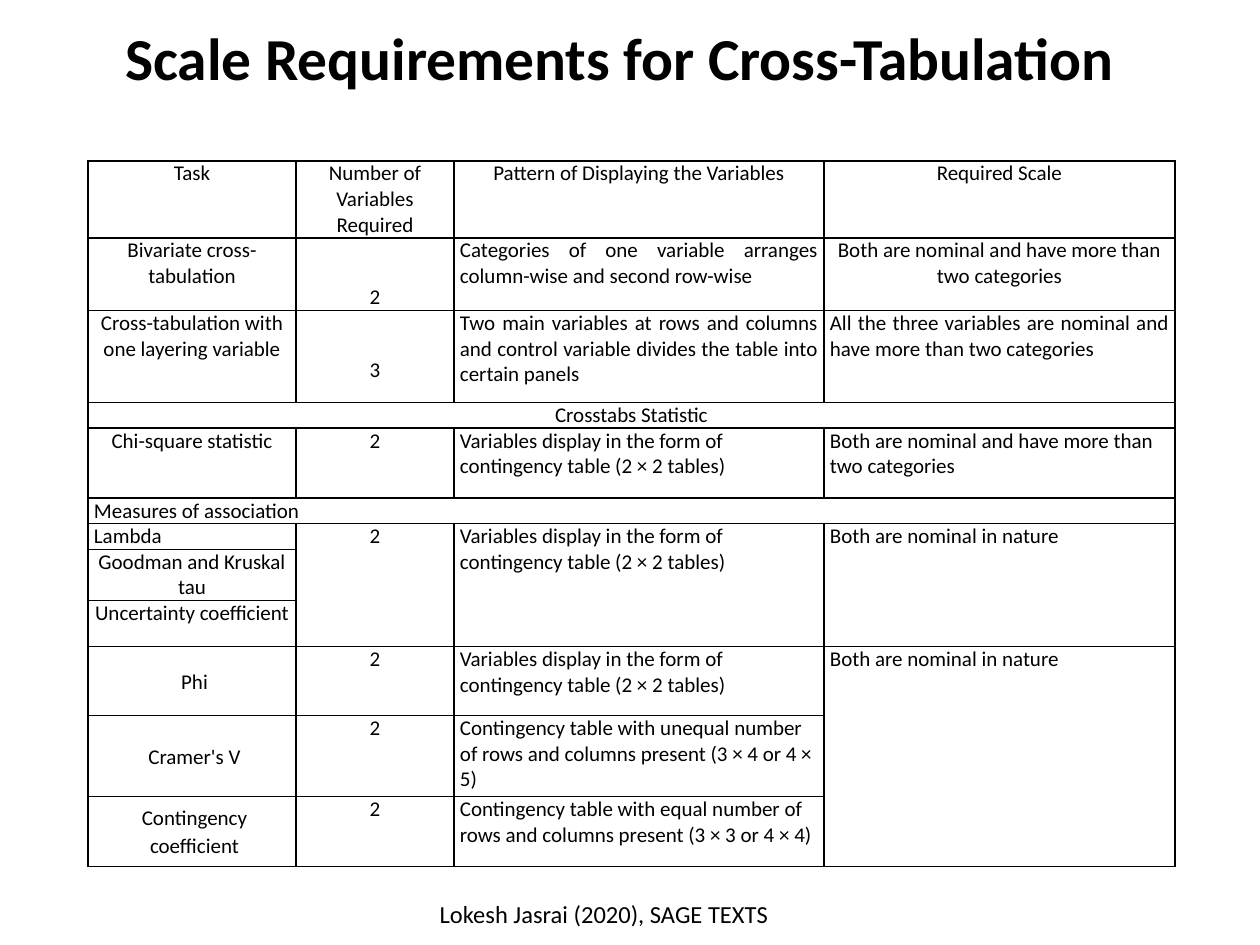
import pptx
import pptx.dml.color
import pptx.enum.text
import pptx.oxml
import pptx.oxml.ns
import pptx.util

ALIGN = pptx.enum.text.PP_ALIGN
ANCHOR = pptx.enum.text.MSO_ANCHOR
BLACK = pptx.dml.color.RGBColor(0, 0, 0)
FONT = "Calibri"
PX_PER_INCH = 126

COLUMN_WIDTHS = [208, 158, 370, 351]
ROW_HEIGHTS = [76, 71, 92, 25, 70, 25, 25, 51, 46, 69, 81, 70]
MERGES = [(3, 0, 3, 3), (5, 0, 5, 3), (6, 1, 8, 1),
          (6, 2, 8, 2), (6, 3, 8, 3), (9, 3, 11, 3)]

CONTINGENCY = "Variables display in the form of contingency table (2 × 2 tables)"
NOMINAL = "Both are nominal in nature"
ROWS = [
    ["Task", "Number of Variables Required",
     "Pattern of Displaying the Variables", "Required Scale"],
    ["Bivariate cross-tabulation", "2",
     "Categories of one variable arranges column-wise and second row-wise",
     "Both are nominal and have more than two categories"],
    ["Cross-tabulation with one layering variable", "3",
     "Two main variables at rows and columns and control variable divides "
     "the table into certain panels",
     "All the three variables are nominal and have more than two categories"],
    ["Crosstabs Statistic"],
    ["Chi-square statistic", "2", CONTINGENCY,
     "Both are nominal and have more than two categories"],
    ["Measures of association"],
    ["Lambda", "2", CONTINGENCY, NOMINAL],
    ["Goodman and Kruskal tau"],
    ["Uncertainty coefficient"],
    ["Phi", "2", CONTINGENCY, NOMINAL],
    ["Cramer's V", "2",
     "Contingency table with unequal number of rows and columns present "
     "(3 × 4 or 4 × 5)"],
    ["Contingency coefficient", "2",
     "Contingency table with equal number of rows and columns present "
     "(3 × 3 or 4 × 4)"],
]
LEFT_LABELS = {(5, 0), (6, 0)}
CENTRED_SCALES = {(0, 2), (0, 3), (1, 3)}
JUSTIFIED = {(1, 2), (2, 2), (2, 3)}
LOWERED_NUMBERS = {(1, 1), (2, 1)}
FIRST_COEFFICIENT_ROW = 9


def px(length):
    return pptx.util.Emu(round(length * 914400 / PX_PER_INCH))


def place(shape, left, top, width, height):
    shape.left, shape.top = px(left), px(top)
    shape.width, shape.height = px(width), px(height)


def style(para, size, align, bold=False):
    para.alignment = align
    para.font.name = FONT
    para.font.size = pptx.util.Pt(size)
    para.font.bold = bold
    para.font.color.rgb = BLACK


def write_line(shape, text, size, bold=False):
    frame = shape.text_frame
    frame.word_wrap = True
    frame.auto_size = pptx.enum.text.MSO_AUTO_SIZE.NONE
    frame.vertical_anchor = ANCHOR.TOP
    frame.text = text
    style(frame.paragraphs[0], size, ALIGN.CENTER, bold)
    return frame.paragraphs[0]


def add_title(page):
    title = page.shapes.title
    place(title, 69, 23, 1101, 92)
    para = write_line(title, "Scale Requirements for Cross-Tabulation", 34, True)
    para.line_spacing = 0.9


def add_source_line(page):
    box = page.shapes.add_textbox(px(379), px(893), px(450), px(50))
    write_line(box, "Lokesh Jasrai (2020), SAGE TEXTS", 14)


def add_borders(cell):
    properties = cell._tc.get_or_add_tcPr()
    for index, side in enumerate(("lnL", "lnR", "lnT", "lnB")):
        line = pptx.oxml.parse_xml(
            f'<a:{side} {pptx.oxml.ns.nsdecls("a")} w="12700">'
            f'<a:solidFill><a:srgbClr val="{BLACK}"/></a:solidFill></a:{side}>')
        properties.insert(index, line)


def cell_alignment(position):
    if position in JUSTIFIED:
        return ALIGN.JUSTIFY
    if position in LEFT_LABELS:
        return ALIGN.LEFT
    if position[1] < 2 or position in CENTRED_SCALES:
        return ALIGN.CENTER
    return ALIGN.LEFT


def fill_cell(cell, position, text):
    row, column = position
    cell.text = text
    cell.fill.background()
    cell.margin_left = cell.margin_right = px(6)
    cell.margin_top = px(47 if position in LOWERED_NUMBERS else 0)
    cell.margin_bottom = 0
    cell.vertical_anchor = ANCHOR.TOP
    para = cell.text_frame.paragraphs[0]
    style(para, 12, cell_alignment(position))
    if column == 0 and row >= FIRST_COEFFICIENT_ROW:
        cell.vertical_anchor = ANCHOR.MIDDLE
        cell.margin_left = px(11)
        para.line_spacing = pptx.util.Pt(16)
    add_borders(cell)


def add_scale_table(page):
    frame = page.shapes.add_table(
        len(ROWS), len(COLUMN_WIDTHS), px(88), px(161),
        px(sum(COLUMN_WIDTHS)), px(sum(ROW_HEIGHTS)))
    table = frame.table
    table.first_row = table.horz_banding = False
    for column, width in zip(table.columns, COLUMN_WIDTHS):
        column.width = px(width)
    for row, height in zip(table.rows, ROW_HEIGHTS):
        row.height = px(height)
    for row, texts in enumerate(ROWS):
        for column in range(len(COLUMN_WIDTHS)):
            text = texts[column] if column < len(texts) else ""
            fill_cell(table.cell(row, column), (row, column), text)
    for top, left, bottom, right in MERGES:
        table.cell(top, left).merge(table.cell(bottom, right))


def main():
    deck = pptx.Presentation()
    deck.slide_width, deck.slide_height = px(1260), px(945)
    page = deck.slides.add_slide(deck.slide_layouts[5])
    add_title(page)
    add_scale_table(page)
    add_source_line(page)
    deck.save("out.pptx")


if __name__ == "__main__":
    main()
